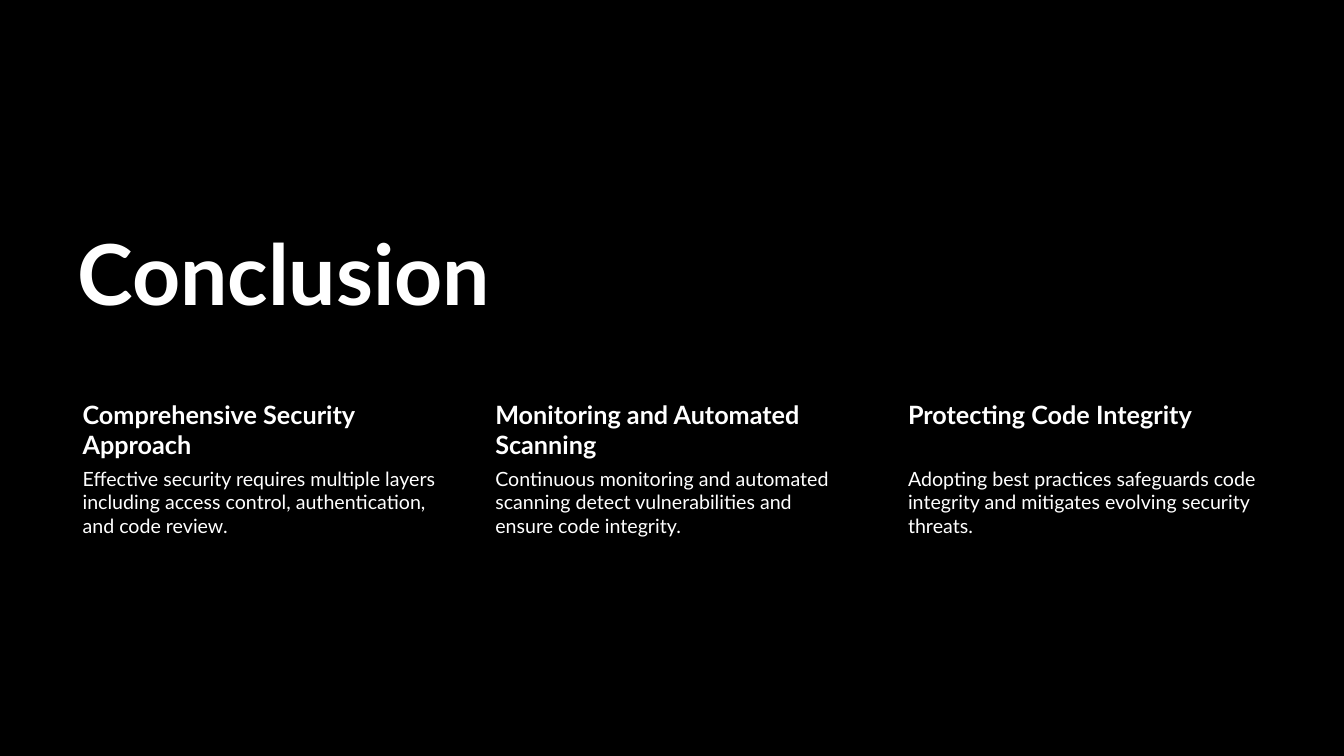
from dataclasses import dataclass

from pptx import Presentation
from pptx.dml.color import RGBColor
from pptx.enum import text
from pptx.util import Pt


@dataclass(frozen=True)
class Theme:
    font: str = "Lato"
    background: RGBColor = RGBColor(0x00, 0x00, 0x00)
    ink: RGBColor = RGBColor(0xFF, 0xFF, 0xFF)
    title_size: int = 60
    heading_size: int = 18
    body_size: int = 14


THEME = Theme()

# Column grid, in points
LEFT = 48.2
COLUMN_WIDTH = 267.8
COLUMN_STEP = 294.8
HEADING_TOP, HEADING_HEIGHT = 283, 49
BODY_HEIGHT = 148.3

TAKEAWAYS = [
    ("Comprehensive Security Approach",
     "Effective security requires multiple layers including access control, "
     "authentication, and code review."),
    ("Monitoring and Automated Scanning",
     "Continuous monitoring and automated scanning detect vulnerabilities "
     "and ensure code integrity."),
    ("Protecting Code Integrity",
     "Adopting best practices safeguards code integrity and mitigates "
     "evolving security threats."),
]


def add_text(shapes, wording, box, size, bold=False, insets=(7.2, 3.6, 7.2, 3.6),
             anchor=text.MSO_ANCHOR.TOP):
    """Add a wrapped text box; box and insets are in points."""
    shape = shapes.add_textbox(*(Pt(length) for length in box))
    frame = shape.text_frame
    frame.text = wording
    frame.word_wrap = True
    frame.vertical_anchor = anchor
    (frame.margin_left, frame.margin_top,
     frame.margin_right, frame.margin_bottom) = (Pt(inset) for inset in insets)
    paragraph = frame.paragraphs[0]
    font = paragraph.runs[0].font
    font.name = THEME.font
    font.size = Pt(size)
    font.bold = bold
    font.color.rgb = THEME.ink
    return paragraph


def add_takeaway(shapes, left, heading, body):
    """Add one column: a bold heading above its explanation."""
    add_text(shapes, heading, (left, HEADING_TOP, COLUMN_WIDTH, HEADING_HEIGHT),
             THEME.heading_size, bold=True, insets=(10.8, 2, 2, 2))
    add_text(shapes, body,
             (left, HEADING_TOP + HEADING_HEIGHT, COLUMN_WIDTH, BODY_HEIGHT),
             THEME.body_size, insets=(10.8, 1.5, 1.5, 1.5))


def main():
    presentation = Presentation()
    presentation.slide_width, presentation.slide_height = Pt(960), Pt(540)
    slide = presentation.slides.add_slide(presentation.slide_layouts[6])

    # Background
    fill = slide.background.fill
    fill.solid()
    fill.fore_color.rgb = THEME.background

    # Title
    title = add_text(slide.shapes, "Conclusion", (LEFT, 145.4, 578.2, 89.3),
                     THEME.title_size, bold=True, anchor=text.MSO_ANCHOR.BOTTOM)
    title.line_spacing = 0.9

    # Three takeaways in one group
    group = slide.shapes.add_group_shape()
    for index, (heading, body) in enumerate(TAKEAWAYS):
        add_takeaway(group.shapes, LEFT + index * COLUMN_STEP, heading, body)

    presentation.save("out.pptx")


if __name__ == "__main__":
    main()
